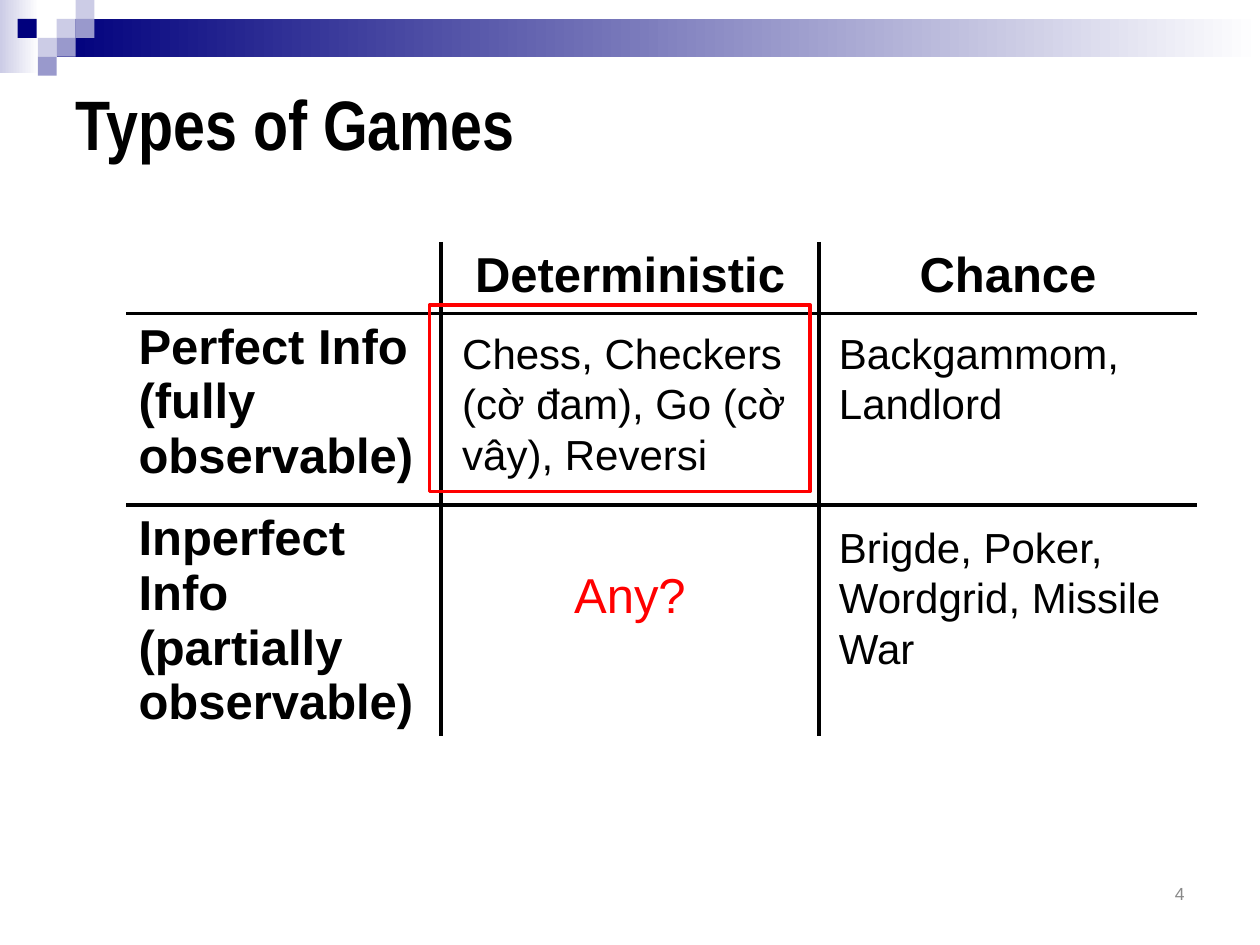
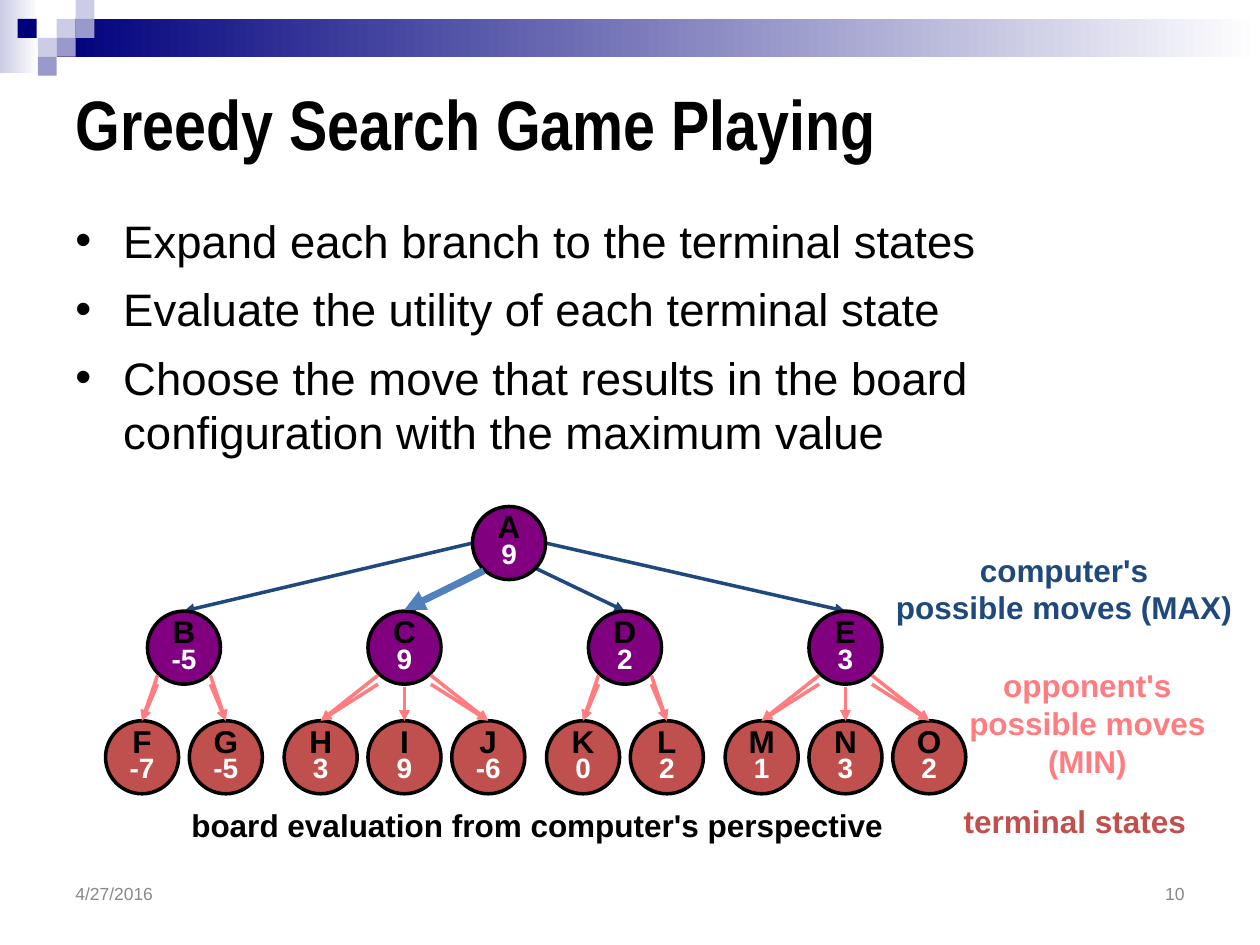
"""Build two slides on game types and greedy game-tree search."""
import dataclasses

import lxml.etree
import pptx
import pptx.dml.color
import pptx.enum.shapes
import pptx.enum.text
import pptx.oxml
import pptx.oxml.ns
import pptx.util

Inches = pptx.util.Inches
Pt = pptx.util.Pt
RGB = pptx.dml.color.RGBColor.from_string
ALIGN = pptx.enum.text.PP_ALIGN
ANCHOR = pptx.enum.text.MSO_ANCHOR
SHAPE = pptx.enum.shapes.MSO_SHAPE
qn = pptx.oxml.ns.qn


@dataclasses.dataclass(frozen=True)
class Theme:
    black: str = "000000"
    white: str = "FFFFFF"
    navy: str = "00007D"
    lilac: str = "CCCCE6"
    violet: str = "9999CC"
    grey: str = "898989"
    red: str = "FF0000"
    purple: str = "800080"
    brick: str = "C0504D"
    pink: str = "FF7C80"
    blue: str = "1F497D"
    bright_blue: str = "4F81BD"
    body_font: str = "Arial"
    title_font: str = "Arial Narrow"
    title: int = 40
    heading: int = 28
    bullet: int = 26
    cell: int = 24
    label: int = 18
    value: int = 16
    footer: int = 10


theme = Theme()


def write(shape, lines, frame_format, para_format):
    """Fill a shape or cell with (text, size, bold, colour) lines."""
    frame = shape.text_frame
    for name, value in frame_format.items():
        setattr(frame, name, value)
    for index, (text, size, bold, colour) in enumerate(lines):
        para = frame.add_paragraph() if index else frame.paragraphs[0]
        para.text = text
        for name, value in para_format.items():
            setattr(para, name, value)
        font = theme.title_font if size == theme.title else theme.body_font
        for span in para.runs:
            for name, value in {"name": font, "size": Pt(size), "bold": bold}.items():
                setattr(span.font, name, value)
            span.font.color.rgb = RGB(colour)


def add_arrow(slide, start, end, colour, width):
    """Draw a straight arrow between two points given in inches."""
    points = [Inches(value) for value in (*start, *end)]
    arrow = slide.shapes.add_connector(pptx.enum.shapes.MSO_CONNECTOR.STRAIGHT, *points)
    arrow.line.color.rgb = RGB(colour)
    arrow.line.width = Pt(width)
    line = arrow.line._get_or_add_ln()
    lxml.etree.SubElement(line, qn("a:tailEnd"), type="triangle")
    lxml.etree.SubElement(arrow.element.spPr, qn("a:effectLst"))


deck = pptx.Presentation()
deck.slide_width, deck.slide_height = Inches(10), Inches(7.5)
layout = deck.slide_layouts[5]
games = deck.slides.add_slide(layout)
search = deck.slides.add_slide(layout)

square = 0.15
bands = [
    (0, 0, 0.31, 0.58, theme.lilac, True),
    (0.45, 0.15, 9.55, 0.3, theme.navy, True),
    (0.45, 0.15, square, square, theme.lilac, False),
    (0.6, 0, square, square, theme.lilac, False),
    (0.6, 0.15, square, square, theme.violet, False),
    (0.3, 0.3, square, square, theme.lilac, False),
    (0.14, 0.15, square, square, theme.navy, False),
    (0.45, 0.3, square, square, theme.violet, False),
    (0.3, 0.45, square, square, theme.violet, False),
]
for left, top, width, height, colour, fades in bands:
    band = games.shapes.add_shape(
        SHAPE.RECTANGLE, Inches(left), Inches(top), Inches(width), Inches(height))
    band.shadow.inherit = False
    band.line.fill.background()
    if fades:
        band.fill.gradient()
        band.fill.gradient_angle = 0
        for stop, shade in zip(band.fill.gradient_stops, (colour, theme.white)):
            stop.color.rgb = RGB(shade)
    else:
        band.fill.solid()
        band.fill.fore_color.rgb = RGB(colour)
    layout.shapes.element.append(band.element)

left_text = {"alignment": ALIGN.LEFT}
centred = {"alignment": ALIGN.CENTER}
right_text = {"alignment": ALIGN.RIGHT}
wrapped = {"word_wrap": True}
unwrapped = {"word_wrap": False}
middle = {"word_wrap": True, "vertical_anchor": ANCHOR.MIDDLE}

for slide, text in ((games, "Types of Games"), (search, "Greedy Search Game Playing")):
    title = slide.shapes.title
    place = {"left": 0.5, "top": 0.45, "width": 9, "height": 1.05}
    for name, value in place.items():
        setattr(title, name, Inches(value))
    write(title, [(text, theme.title, True, theme.black)], middle, left_text)

rows = [
    (["", "Deterministic", "Chance"], 0.57),
    (["Perfect Info\n(fully observable)", "", ""], 1.52),
    (["Inperfect Info\n(partially observable)", "", ""], 1.5),
]
table = games.shapes.add_table(
    3, 3, Inches(1), Inches(1.92), Inches(8.5), Inches(3.58)).table
table.first_row = table.horz_banding = False
for column, width in zip(table.columns, (2.5, 3, 3)):
    column.width = Inches(width)
for row_index, (texts, height) in enumerate(rows):
    table.rows[row_index].height = Inches(height)
    for column_index, text in enumerate(texts):
        cell = table.cell(row_index, column_index)
        cell.fill.background()
        if text:
            lines = [(part, theme.heading, True, theme.black) for part in text.split("\n")]
            write(cell, lines, {}, left_text if row_index else centred)
        inner_sides = {"L": column_index > 0, "R": column_index < 2,
                       "T": row_index > 0, "B": row_index < 2}
        for position, (side, drawn) in enumerate(inner_sides.items()):
            border = lxml.etree.Element(qn("a:ln" + side), w=str(Pt(2.25)))
            fill = lxml.etree.SubElement(border, qn("a:solidFill" if drawn else "a:noFill"))
            if drawn:
                lxml.etree.SubElement(fill, qn("a:srgbClr"), val=theme.black)
            cell._tc.tcPr.insert(position, border)

highlight = games.shapes.add_shape(
    SHAPE.RECTANGLE, Inches(3.41), Inches(2.42), Inches(3.02), Inches(1.48))
highlight.shadow.inherit = False
highlight.fill.background()
highlight.line.color.rgb = RGB(theme.red)
highlight.line.width = Pt(2)

any_format = {"alignment": ALIGN.CENTER, "line_spacing": 0.9}
text_boxes = [
    (games, "Any?", (4.08, 4.48, 1.84, 0.53),
     (theme.heading, False, theme.red), middle, any_format),
    (games, "Chess, Checkers (cờ đam), Go (cờ vây), Reversi", (3.57, 2.55, 2.86, 1.31),
     (theme.cell, False, theme.black), wrapped, left_text),
    (games, "Backgammom, Landlord", (6.56, 2.55, 2.89, 0.91),
     (theme.cell, False, theme.black), wrapped, left_text),
    (games, "Brigde, Poker, Wordgrid, Missile War", (6.56, 4.09, 2.78, 1.31),
     (theme.cell, False, theme.black), wrapped, left_text),
    (games, "4", (7.17, 6.92, 2.33, 0.35),
     (theme.footer, False, theme.grey), middle, right_text),
    (search, "10", (7.17, 6.92, 2.33, 0.35),
     (theme.footer, False, theme.grey), middle, right_text),
    (search, "4/27/2016", (0.5, 6.92, 2.33, 0.35),
     (theme.footer, False, theme.grey), middle, left_text),
    (search, "computer's\vpossible moves (MAX)", (7.01, 4.32, 2.87, 0.71),
     (theme.label, True, theme.blue), wrapped, centred),
    (search, "opponent's\vpossible moves (MIN)", (7.59, 5.24, 2.08, 1.01),
     (theme.label, True, theme.pink), wrapped, centred),
    (search, "board evaluation from computer's perspective", (1.42, 6.35, 5.69, 0.4),
     (theme.label, True, theme.black), unwrapped, left_text),
    (search, "terminal states", (7.55, 6.32, 1.97, 0.4),
     (theme.label, True, theme.brick), unwrapped, left_text),
]
for slide, text, place, style, frame_format, para_format in text_boxes:
    box = slide.shapes.add_textbox(*[Inches(value) for value in place])
    write(box, [(text, *style)], frame_format, para_format)

bullets = [
    "Expand each branch to the terminal states",
    "Evaluate the utility of each terminal state",
    "Choose the move that results in the board configuration with the maximum value",
]
box = search.shapes.add_textbox(Inches(0.5), Inches(1.64), Inches(9), Inches(2.2))
write(box, [(text, theme.bullet, False, theme.black) for text in bullets],
      wrapped, {"space_before": Pt(8)})
for para in box.text_frame.paragraphs:
    properties = para._p.get_or_add_pPr()
    properties.set("marL", str(Inches(0.38)))
    properties.set("indent", str(-Inches(0.38)))
    lxml.etree.SubElement(properties, qn("a:buFont"), typeface=theme.body_font)
    lxml.etree.SubElement(properties, qn("a:buChar"), char="•")

diameter = 0.58
root_x, root_y = 4.04, 4.31
move_top, leaf_top = 4.85, 5.72
first_move_x, move_gap, leaf_gap = 1.46, 1.75, 0.665
tree = [
    ("B", "-5", [("F", "-7"), ("G", "-5")]),
    ("C", "9", [("H", "3"), ("I", "9"), ("J", "-6")]),
    ("D", "2", [("K", "0"), ("L", "2")]),
    ("E", "3", [("M", "1"), ("N", "3"), ("O", "2")]),
]
root_exits = [(-0.29, 0), (-0.2, 0.2), (0.21, 0.2), (0.29, 0)]
nodes = [("A", "9", root_x, 4.02, theme.purple)]
replies = []
for index, (name, score, leaves) in enumerate(tree):
    move_x = first_move_x + index * move_gap
    shift_x, shift_y = root_exits[index]
    add_arrow(search, (root_x + shift_x, root_y + shift_y), (move_x, move_top), theme.blue, 2)
    nodes.append((name, score, move_x, move_top, theme.purple))
    for leaf_index, (leaf, leaf_score) in enumerate(leaves):
        offset = (leaf_index - (len(leaves) - 1) / 2) * leaf_gap
        leaf_x = move_x + offset
        nodes.append((leaf, leaf_score, leaf_x, leaf_top, theme.brick))
        side = (offset > 0) - (offset < 0)
        exit_y = 5.43 if side else 5.52
        for lift in (0, 0.07):
            replies.append(((move_x + side * 0.21, exit_y - lift), (leaf_x, leaf_top)))

for name, score, centre, top, colour in nodes:
    node = search.shapes.add_shape(
        SHAPE.OVAL, Inches(centre - diameter / 2), Inches(top),
        Inches(diameter), Inches(diameter))
    node.shadow.inherit = False
    node.fill.solid()
    node.fill.fore_color.rgb = RGB(colour)
    node.line.color.rgb = RGB(theme.black)
    node.line.width = Pt(2)
    write(node, [(name, theme.label, True, theme.black), (score, theme.value, True, theme.white)],
          {"word_wrap": False, "vertical_anchor": ANCHOR.MIDDLE},
          {"alignment": ALIGN.CENTER, "line_spacing": 0.75})

for start, end in replies:
    add_arrow(search, start, end, theme.pink, 2)
add_arrow(search, (3.84, 4.53), (first_move_x + move_gap, 4.84), theme.bright_blue, 4)

deck.save("out.pptx")
